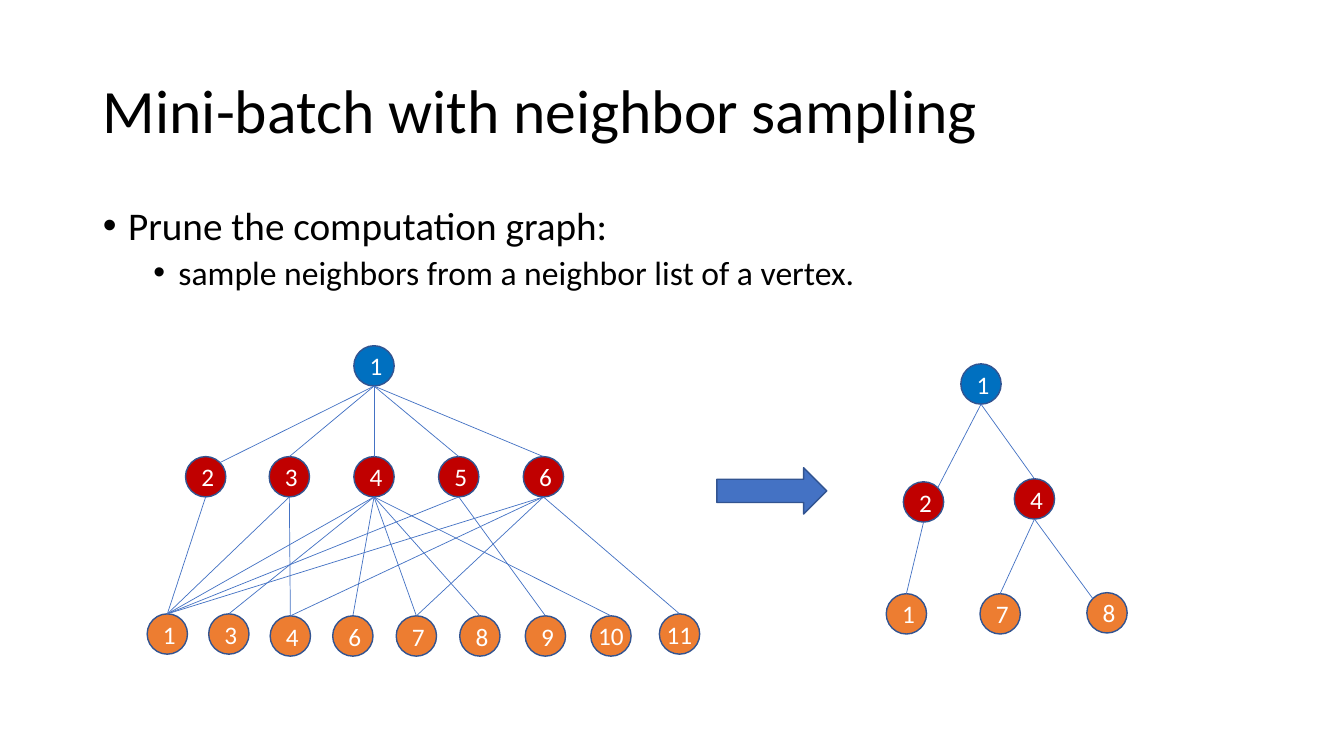
from lxml import etree
from pptx import Presentation
from pptx import util as u
from pptx.dml.color import RGBColor
from pptx.enum import shapes, text
from pptx.oxml.ns import qn

PX = 9144  # EMU per px, 100 px to the inch
NODE = 40
CORNER = 14  # offset from a node's centre to its diagonal points
COLORS = {
    "text": "000000", "label": "FFFFFF", "accent": "4472C4", "outline": "325491",
    "root": "0070C0", "middle": "C00000", "leaf": "ED7D31",
}


class GraphSlide:
    """Style and drawing methods for the current slide."""
    font_name = "Calibri"

    def __init__(self, presentation):
        self.slide = presentation.slides.add_slide(presentation.slide_layouts[1])

    def color(self, name):
        return RGBColor.from_string(COLORS[name])

    def place(self, shape, left, top, width, height):
        shape.left, shape.top = left * PX, top * PX
        shape.width, shape.height = width * PX, height * PX

    def style(self, paragraph, size, color):
        paragraph.font.name = self.font_name
        paragraph.font.size = u.Pt(size)
        paragraph.font.color.rgb = self.color(color)

    def title(self, wording, *box):
        shape = self.slide.shapes.title
        self.place(shape, *box)
        frame = shape.text_frame
        frame.text = wording
        frame.auto_size = text.MSO_AUTO_SIZE.NONE
        frame.vertical_anchor = text.MSO_ANCHOR.MIDDLE
        paragraph = frame.paragraphs[0]
        paragraph.alignment = text.PP_ALIGN.LEFT
        paragraph.line_spacing = 0.9
        self.style(paragraph, 44, "text")

    def bullets(self, items, *box):
        """Items are (wording, level, size, space before)."""
        shape = self.slide.placeholders[1]
        self.place(shape, *box)
        frame = shape.text_frame
        frame.auto_size = text.MSO_AUTO_SIZE.NONE
        frame.text = "\n".join(item[0] for item in items)
        for paragraph, (_, level, size, before) in zip(frame.paragraphs, items):
            paragraph.level = level
            paragraph.line_spacing = 0.9
            paragraph.space_before = u.Pt(before)
            properties = paragraph._p.get_or_add_pPr()
            properties.set("marL", str((25 + 50 * level) * PX))
            properties.set("indent", str(-25 * PX))
            etree.SubElement(properties, qn("a:buFont"), typeface="Arial")
            etree.SubElement(properties, qn("a:buChar"), char="•")
            self.style(paragraph, size, "text")

    def shape(self, kind, fill, left, top, width, height):
        shape = self.slide.shapes.add_shape(
            kind, left * PX, top * PX, width * PX, height * PX)
        shape.shadow.inherit = False
        shape.fill.solid()
        shape.fill.fore_color.rgb = self.color(fill)
        shape.line.color.rgb = self.color("outline")
        shape.line.width = u.Pt(1)
        return shape

    def node(self, label, fill, left, top):
        circle = self.shape(shapes.MSO_SHAPE.OVAL, fill, left, top, NODE, NODE)
        holder = circle
        if len(label) > 1:  # wide labels sit in a box over the circle
            holder = self.slide.shapes.add_textbox(
                (left - 3) * PX, top * PX, (NODE + 6) * PX, NODE * PX)
            holder.text_frame.word_wrap = False
        else:
            holder.text_frame.vertical_anchor = text.MSO_ANCHOR.MIDDLE
        holder.text_frame.text = label
        paragraph = holder.text_frame.paragraphs[0]
        paragraph.alignment = text.PP_ALIGN.CENTER
        self.style(paragraph, 18, "label")
        return circle

    def edge(self, parent, child, side=0):
        """Bottom of parent to child: side -1 top left, 0 top, 1 top right."""
        drop = NODE // 2 - CORNER if side else 0
        line = self.slide.shapes.add_connector(
            shapes.MSO_CONNECTOR.STRAIGHT,
            parent.left + parent.width // 2, parent.top + parent.height,
            child.left + child.width // 2 + side * CORNER * PX,
            child.top + drop * PX)
        if not side:
            line.end_connect(child, 0)
        line.line.color.rgb = self.color("accent")
        line.line.width = u.Pt(0.5)
        etree.SubElement(line._element.spPr, qn("a:effectLst"))

    def graph(self, root, middle, leaves, links, corners):
        """Levels hold (label, left, top); links map middle labels to leaves."""
        top_node = self.node(root[0], "root", *root[1:])
        parents = {spot[0]: self.node(spot[0], "middle", *spot[1:]) for spot in middle}
        children = {spot[0]: self.node(spot[0], "leaf", *spot[1:]) for spot in leaves}
        for label, parent in parents.items():
            self.edge(top_node, parent, corners.get(("root", label), 0))
            for target in links[label].split():
                self.edge(parent, children[target], corners.get((label, target), 0))


def main():
    presentation = Presentation()
    presentation.slide_width, presentation.slide_height = 1333 * PX, 750 * PX
    page = GraphSlide(presentation)

    # Title and list
    page.title("Mini-batch with neighbor sampling", 92, 40, 1150, 145)
    page.bullets([
        ("Prune the computation graph:", 0, 28, 0),
        ("sample neighbors from a neighbor list of a vertex.", 1, 24, 5),
    ], 92, 200, 1150, 476)

    # Arrow from full graph to sampled graph
    arrow = page.shape(shapes.MSO_SHAPE.RIGHT_ARROW, "accent", 711, 464, 109, 46)
    arrow.text_frame.word_wrap = True

    # Full computation graph
    page.graph(
        root=("1", 351, 343),
        middle=[(str(i + 2), 184 + 335 * i // 4, 453) for i in range(5)],
        leaves=[("1", 146, 609), ("3", 207, 609), ("4", 268, 611),
                ("6", 330, 611), ("7", 393, 611), ("8", 456, 611),
                ("9", 521, 611), ("10", 586, 611), ("11", 654, 609)],
        links={"2": "1", "3": "1 4", "4": "1 3 6 7 8 10", "5": "1 9",
               "6": "1 4 7 11"},
        corners={("root", "2"): 1})

    # Sampled graph
    page.graph(
        root=("1", 953, 361),
        middle=[("2", 896, 478), ("4", 1006, 475)],
        leaves=[("1", 879, 589), ("7", 972, 589), ("8", 1078, 588)],
        links={"2": "1", "4": "7 8"},
        corners={("root", "2"): 1, ("4", "8"): -1})

    presentation.save("out.pptx")


if __name__ == "__main__":
    main()
